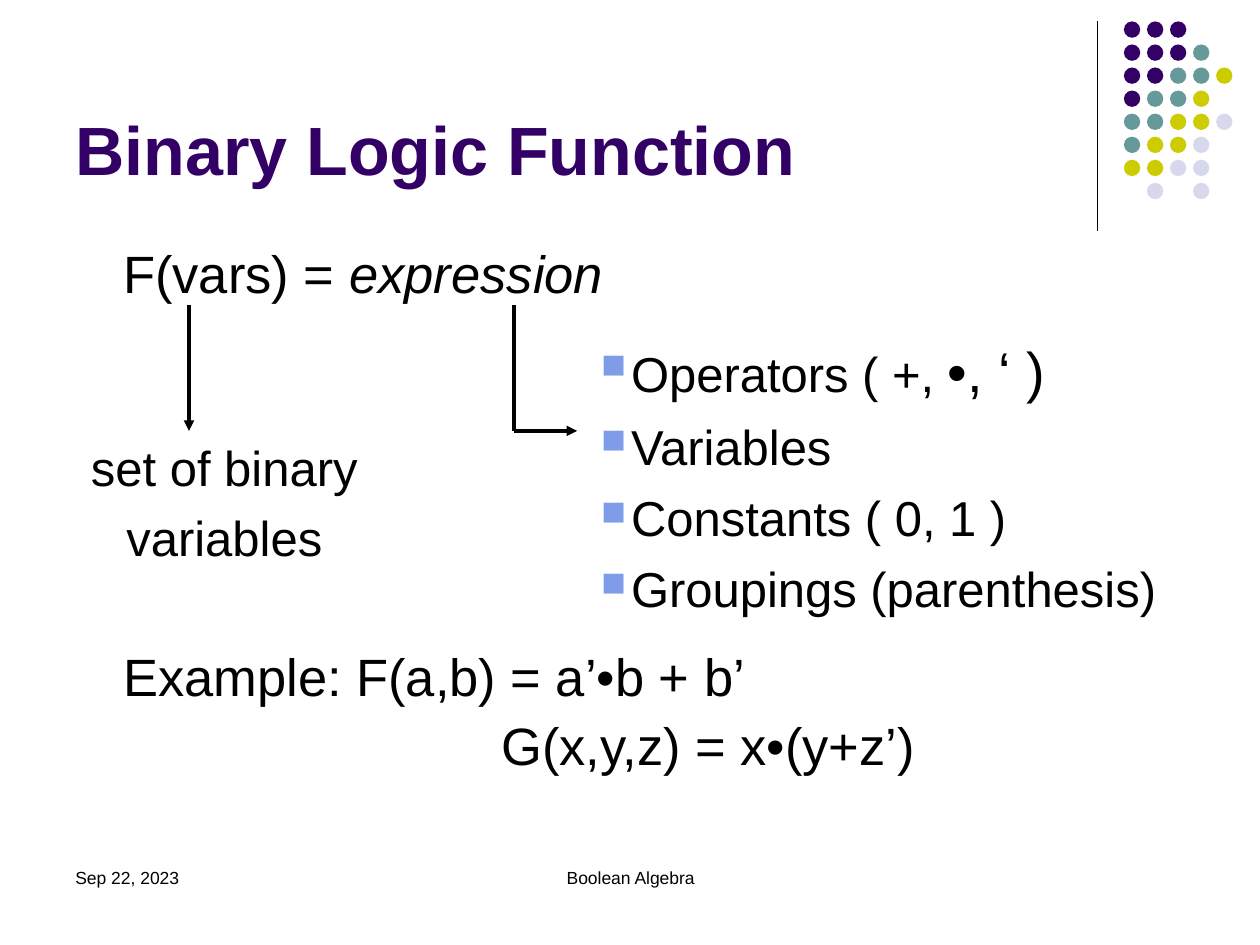
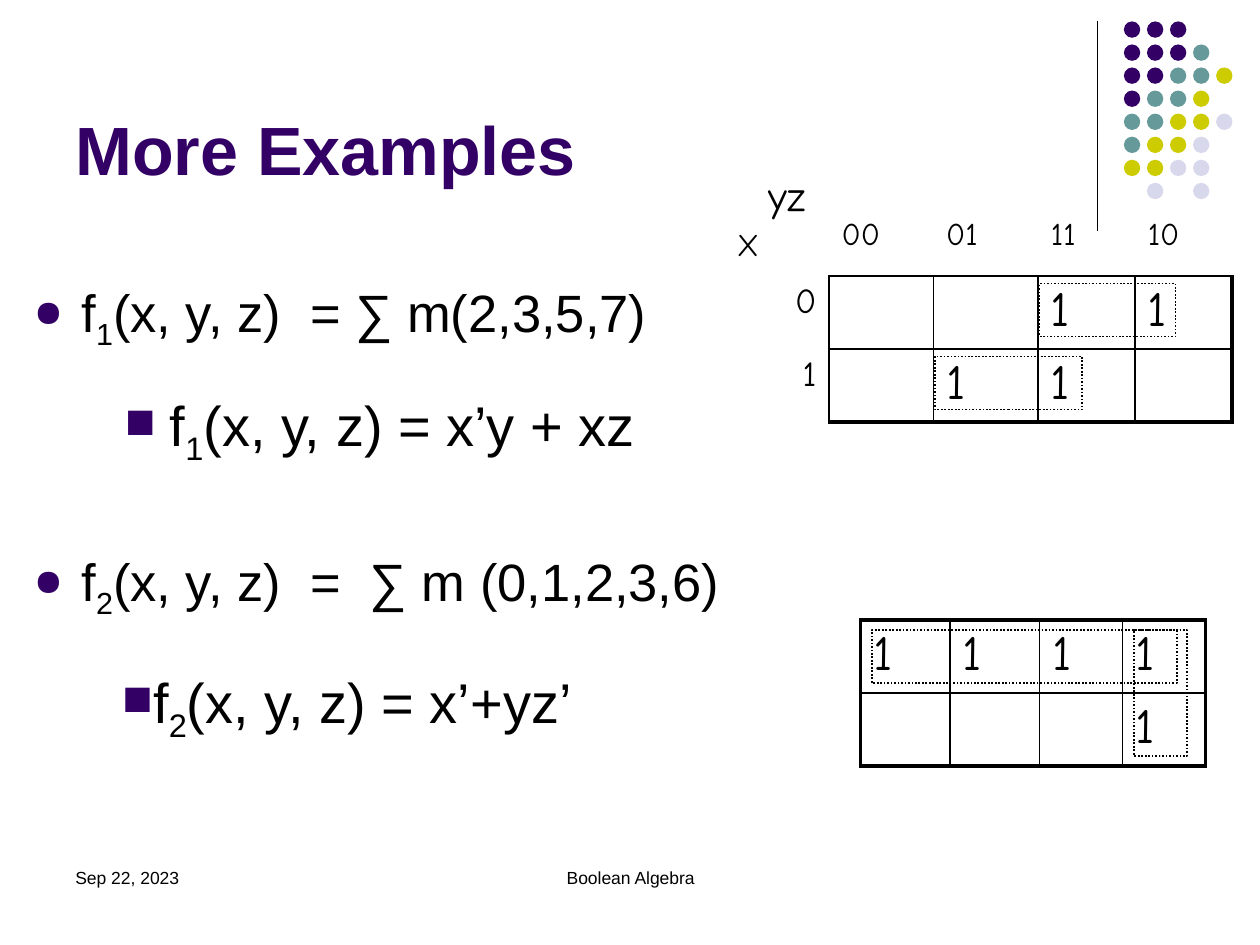
from lxml.etree import SubElement
from pptx import Presentation
from pptx.dml.color import RGBColor
from pptx.enum.dml import MSO_LINE
from pptx.enum.shapes import MSO_CONNECTOR, MSO_SHAPE
from pptx.enum.text import MSO_ANCHOR as Anchor, PP_ALIGN as Align
from pptx.oxml.ns import qn
from pptx.util import Inches, Pt

# Shared look
PURPLE, TEAL, LIME, LILAC = "330066", "669999", "CCCC00", "D8D8EC"
BLACK, BULLET_BLUE = "000000", "7E9CE8"
DOT_COLORS = {"P": PURPLE, "T": TEAL, "Y": LIME, "L": LILAC}
DOT_ROWS = ["PPP", "PPPT", "PPTTY", "PTTY", "TTYYL", "TYYL", "YYLL", " L L"]
DOT_START, DOT_STEP, DOT_SIZE = (8.92, 0.17), 0.183, 0.13
DATE, TOPIC = "Sep 22, 2023", "Boolean Algebra"
THIN, THICK = 0.96, 2.21
SUB = {"baseline": -25000}

# Slide 1: function definition
DEFINITION = [["F(vars) = ", ("expression", {"italic": True})]]
VARIABLE_NOTE = ["set of binary", "variables"]
EXPRESSION_PARTS = [
    ["Operators ( +, ", ("•, ‘ )", {"size": 32})],
    "Variables",
    "Constants ( 0, 1 )",
    "Groupings (parenthesis)",
]
EXAMPLES = ["Example: F(a,b) = a’•b + b’", "G(x,y,z) = x•(y+z’)"]
EXAMPLE_INDENTS = [0.38, 3.38]
ARROWS = [  # start, end, arrowhead
    ((1.5, 2.42), (1.5, 3.42), True),
    ((4.08, 2.42), (4.08, 3.42), False),
    ((4.08, 3.42), (4.58, 3.42), True),
]

# Slide 2: minterm sums, simplified forms and their maps
SUMS = [  # top, index, rest of formula
    (2.17, "1", "(x, y, z)  = ∑ m(2,3,5,7)"),
    (4.31, "2", "(x, y, z)  =  ∑ m (0,1,2,3,6)"),
]
RESULTS = [  # left, top, indent, index, rest of formula
    (0.89, 3.05, 0.36, "1", "(x, y, z) = x’y + xz"),
    (0.87, 5.25, 0.24, "2", "(x, y, z) = x’+yz’"),
]
MAPS = [
    {"at": (5.75, 1.33), "columns": [0.83, 0.83, 0.83, 0.77, 0.77],
     "rows": [0.86, 0.58, 0.58], "labels": 1, "start": THIN,
     "cells": [["", "00", "01", "11", "10"],
               ["0", "", "", "1", "1"],
               ["1", "", "1", "1", ""]]},
    {"at": (6.83, 4.92), "columns": [0.71, 0.71, 0.66, 0.66],
     "rows": [0.58, 0.58], "labels": 0, "start": THICK,
     "cells": [["1", "1", "1", "1"], ["", "", "", "1"]]},
]
GROUPS = [(8.25, 2.25, 1.08, 0.42), (7.42, 2.83, 1.17, 0.42),
          (6.92, 5, 2.42, 0.42), (9, 5, 0.42, 1)]


def color(code):
    return RGBColor.from_string(code)


def write(frame, paragraphs, size=30, font="Arial", ink=BLACK, bold=False,
          align=Align.LEFT, before=0, spacing=None, indents=(0,), hang=0,
          bullet=None):
    """Fill a text frame; a paragraph is a string or a list of spans."""
    for number, content in enumerate(paragraphs):
        para = frame.paragraphs[0] if number == 0 else frame.add_paragraph()
        para.alignment = align
        if number:
            para.space_before = Pt(before)
        if spacing:
            para.line_spacing = spacing
        props = para._p.get_or_add_pPr()
        props.set("marL", str(Inches(indents[min(number, len(indents) - 1)])))
        props.set("indent", str(Inches(-hang)))
        if bullet:
            mark, mark_ink, percent = bullet
            SubElement(SubElement(props, qn("a:buClr")), qn("a:srgbClr"), val=mark_ink)
            SubElement(props, qn("a:buSzPct"), val=str(percent * 1000))
            SubElement(props, qn("a:buChar"), char=mark)
        for piece in [content] if isinstance(content, str) else content:
            words, extra = (piece, {}) if isinstance(piece, str) else piece
            span = para.add_run()
            span.text = words
            span.font.name = font
            span.font.size = Pt(extra.get("size", size))
            span.font.bold = bold
            span.font.italic = extra.get("italic", False)
            span.font.color.rgb = color(ink)
            if "baseline" in extra:
                span._r.get_or_add_rPr().set("baseline", str(extra["baseline"]))


def add_text(page, at, paragraphs, anchor=Anchor.TOP, **style):
    box = page.shapes.add_textbox(*map(Inches, at))
    box.text_frame.word_wrap = True
    box.text_frame.vertical_anchor = anchor
    write(box.text_frame, paragraphs, **style)


def add_line(page, start, end, width, arrow=False):
    line = page.shapes.add_connector(
        MSO_CONNECTOR.STRAIGHT, *map(Inches, start + end))
    line.line.color.rgb = color(BLACK)
    line.line.width = Pt(width)
    if arrow:
        SubElement(line.line._get_or_add_ln(), qn("a:tailEnd"), type="triangle")
    SubElement(line._element.spPr, qn("a:effectLst"))


def add_page(deck, title):
    """Blank page with the rule, dot pattern, title and footers."""
    page = deck.slides.add_slide(deck.slide_layouts[6])
    add_line(page, (8.71, 0.17), (8.71, 1.83), 0.75)
    left, top = DOT_START
    for row, letters in enumerate(DOT_ROWS):
        for column, letter in enumerate(letters):
            if letter == " ":
                continue
            dot = page.shapes.add_shape(
                MSO_SHAPE.OVAL, Inches(left + column * DOT_STEP),
                Inches(top + row * DOT_STEP), Inches(DOT_SIZE), Inches(DOT_SIZE))
            dot.shadow.inherit = False
            dot.fill.solid()
            dot.fill.fore_color.rgb = color(DOT_COLORS[letter])
            dot.line.fill.background()
    add_text(page, (0.5, 0.13, 8.25, 1.42), [title], anchor=Anchor.BOTTOM,
             size=39, ink=PURPLE, bold=True)
    add_text(page, (0.5, 6.83, 2.33, 0.5), [DATE], size=10)
    add_text(page, (3.42, 6.83, 3.17, 0.5), [TOPIC], size=10, align=Align.CENTER)
    return page


def set_border(cell, side, width):
    edge = SubElement(cell._tc.get_or_add_tcPr(), qn("a:" + side), w=str(Pt(width)))
    if width:
        SubElement(SubElement(edge, qn("a:solidFill")), qn("a:srgbClr"), val=BLACK)
    else:
        SubElement(edge, qn("a:noFill"))


def add_map(page, at, columns, rows, labels, start, cells):
    """Karnaugh map; 'labels' counts the unruled leading rows and columns."""
    frame = page.shapes.add_table(
        len(rows), len(columns), *map(Inches, at),
        Inches(sum(columns)), Inches(sum(rows)))
    table = frame.table
    table.first_row = table.horz_banding = False
    for column, width in zip(table.columns, columns):
        column.width = Inches(width)
    for row, height in zip(table.rows, rows):
        row.height = Inches(height)

    def weight(line, last, across):
        if line < labels or across < labels:
            return 0
        return {labels: start, last: THICK}.get(line, THIN)

    for r, values in enumerate(cells):
        for c, value in enumerate(values):
            cell = table.cell(r, c)
            for side, width in (("lnL", weight(c, len(columns), r)),
                                ("lnR", weight(c + 1, len(columns), r)),
                                ("lnT", weight(r, len(rows), c)),
                                ("lnB", weight(r + 1, len(rows), c))):
                set_border(cell, side, width)
            cell.fill.background()
            if r < labels and c < labels:
                write(cell.text_frame, [[("yz", {"size": 24})], "X"], size=18,
                      font="Comic Neue", before=3.6, indents=(0.25, 0))
            elif r < labels:
                cell.margin_top = Inches(0.39)
                write(cell.text_frame, [value], size=18, font="Comic Neue")
            elif c < labels:
                write(cell.text_frame, [value], size=20, font="Comic Neue",
                      align=Align.RIGHT)
            elif value:
                write(cell.text_frame, [value], size=28, font="Comic Neue")


def build_function_page(deck):
    page = add_page(deck, "Binary Logic Function")
    add_text(page, (0.5, 1.92, 8, 0.55), DEFINITION, spacing=0.9, indents=(0.38,))
    add_text(page, (0.5, 5.12, 9, 1.2), EXAMPLES, spacing=0.9, before=7.2,
             indents=EXAMPLE_INDENTS)
    for start, end, arrow in ARROWS:
        add_line(page, start, end, 2, arrow)
    add_text(page, (0.5, 3.42, 2.56, 1.1), VARIABLE_NOTE, size=28, before=6.7,
             align=Align.CENTER)
    add_text(page, (4.67, 2.62, 5.14, 2.8), EXPRESSION_PARTS, size=28, before=7.2,
             indents=(0.24,), hang=0.24, bullet=("■", BULLET_BLUE, 70))


def build_examples_page(deck):
    page = add_page(deck, "More Examples")
    for top, index, formula in SUMS:
        add_text(page, (0.17, top, 6.5, 0.65), [["f", (index, SUB), formula]],
                 indents=(0.38,), hang=0.38, bullet=("●", PURPLE, 70))
    for left, top, indent, index, formula in RESULTS:
        add_text(page, (left, top, 4.6, 0.7), [["f", (index, SUB), formula]],
                 size=32, indents=(indent,), hang=indent, bullet=("■", PURPLE, 75))
    for karnaugh in MAPS:
        add_map(page, **karnaugh)
    for at in GROUPS:
        loop = page.shapes.add_shape(MSO_SHAPE.RECTANGLE, *map(Inches, at))
        loop.shadow.inherit = False
        loop.fill.background()
        loop.line.color.rgb = color(BLACK)
        loop.line.width = Pt(1)
        loop.line.dash_style = MSO_LINE.ROUND_DOT


def main():
    deck = Presentation()
    deck.slide_width, deck.slide_height = Inches(10), Inches(7.5)
    build_function_page(deck)
    build_examples_page(deck)
    deck.save("out.pptx")


if __name__ == "__main__":
    main()
